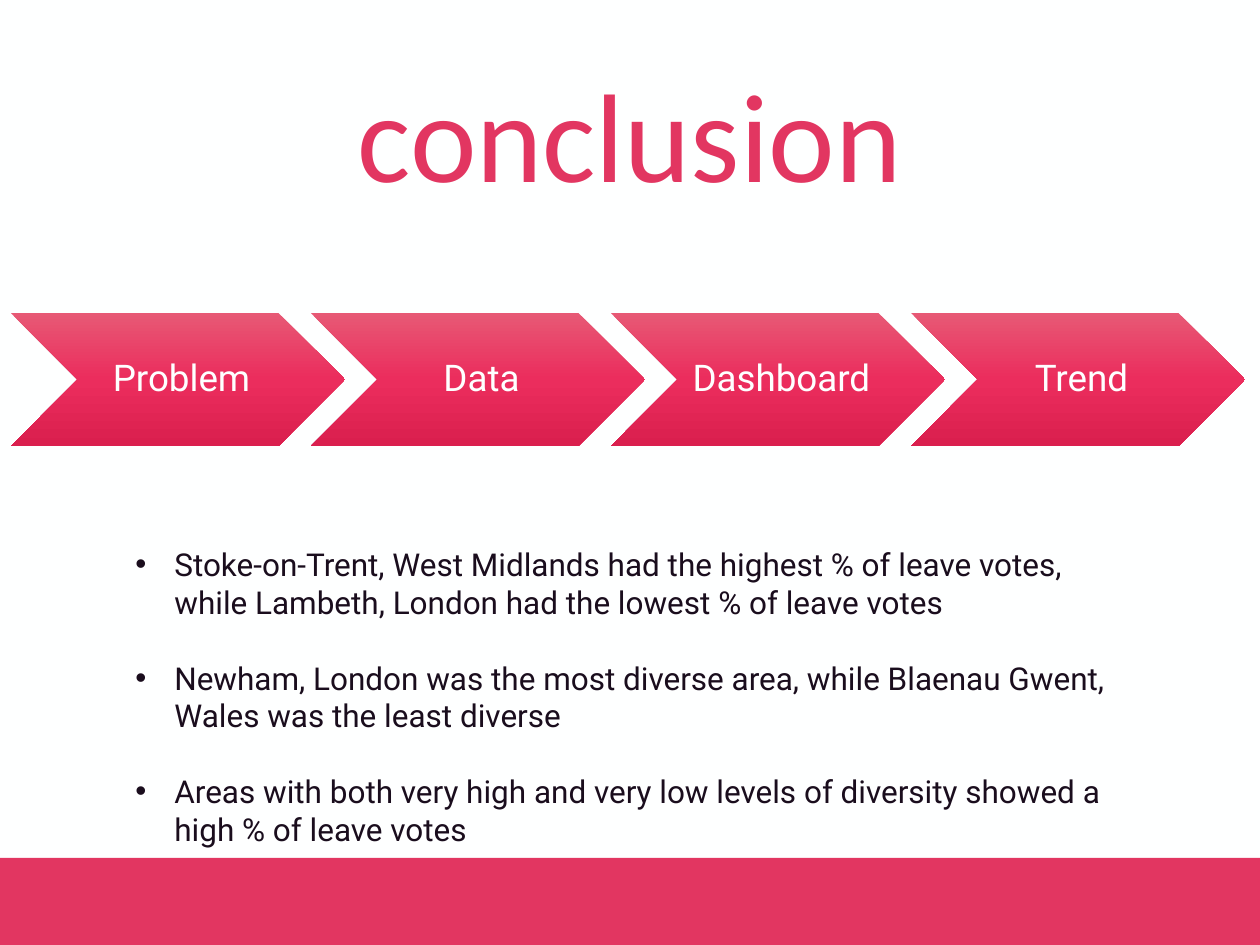
from copy import deepcopy
from dataclasses import dataclass

from lxml.etree import SubElement
from pptx import Presentation
from pptx.dml.color import RGBColor
from pptx.enum.shapes import MSO_SHAPE
from pptx.enum.text import MSO_ANCHOR, MSO_AUTO_SIZE, PP_ALIGN
from pptx.oxml.ns import qn
from pptx.util import Emu, Pt

EMU_PER_PX = 914400 / 126
WHITE, PINK, INK = "FEFFFF", "E23661", "1A0D1D"
CHEVRON_STOPS = ((0, "E75975"), (0.5, "EB2D5D"), (1, "DA1F4E"))
CHEVRON_PITCH = 300
STEPS = ("Problem", "Data", "Dashboard", "Trend")
FINDINGS = (
    "Stoke-on-Trent, West Midlands had the highest % of leave votes, "
    "while Lambeth, London had the lowest % of leave votes",
    "Newham, London was the most diverse area, while Blaenau Gwent, "
    "Wales was the least diverse",
    "Areas with both very high and very low levels of diversity showed a "
    "high % of leave votes",
)


@dataclass(frozen=True)
class Box:
    """A rectangle in px."""

    left: int
    top: int
    width: int
    height: int

    def emu(self) -> tuple:
        """Return the rectangle in EMU."""
        return tuple(map(px, (self.left, self.top, self.width, self.height)))


@dataclass(frozen=True)
class Style:
    """The font of a paragraph."""

    name: str
    size: int
    color: str


TITLE_STYLE = Style("Calibri", 72, PINK)
STEP_STYLE = Style("Roboto", 21, WHITE)
FINDING_STYLE = Style("Roboto", 18, INK)


def px(length: int) -> Emu:
    """Turn px into EMU."""
    return Emu(round(length * EMU_PER_PX))


def rgb(color: str) -> RGBColor:
    """Turn a hex string into a colour."""
    return RGBColor.from_string(color)


def style_paragraph(paragraph, style: Style) -> None:
    """Set the font of a paragraph."""
    font = paragraph.font
    font.name, font.size = style.name, Pt(style.size)
    font.color.rgb = rgb(style.color)


def write_centered(shape, text: str, style: Style) -> None:
    """Write one line in the middle of a shape."""
    frame = shape.text_frame
    frame.word_wrap = True
    frame.vertical_anchor = MSO_ANCHOR.MIDDLE
    paragraph = frame.paragraphs[0]
    paragraph.text = text
    paragraph.alignment = PP_ALIGN.CENTER
    paragraph.line_spacing = 0.9
    style_paragraph(paragraph, style)


def add_plain_shape(slide, kind: MSO_SHAPE, box: Box):
    """Add a preset shape without line or shadow."""
    shape = slide.shapes.add_shape(kind, *box.emu())
    shape.shadow.inherit = False
    shape.line.fill.background()
    return shape


def fill_gradient(shape, stops: tuple) -> None:
    """Fill a shape with a gradient from top to bottom."""
    fill = shape.fill
    fill.gradient()
    fill.gradient_angle = 270
    stop_list = shape._element.spPr.find(qn("a:gradFill")).find(qn("a:gsLst"))
    while len(stop_list) < len(stops):
        stop_list.append(deepcopy(stop_list[-1]))
    for stop, (position, color) in zip(fill.gradient_stops, stops):
        stop.position = position
        stop.color.rgb = rgb(color)


def add_step(slide, box: Box, label: str) -> None:
    """Add one labelled chevron."""
    chevron = add_plain_shape(slide, MSO_SHAPE.CHEVRON, box)
    fill_gradient(chevron, CHEVRON_STOPS)
    write_centered(chevron, label, STEP_STYLE)
    frame = chevron.text_frame
    frame.margin_left = px(11)
    frame.margin_top = frame.margin_right = frame.margin_bottom = px(4)


def add_bullet(paragraph, indent: int) -> None:
    """Give a paragraph a hanging bullet."""
    properties = paragraph._p.get_or_add_pPr()
    properties.set("marL", str(px(indent)))
    properties.set("indent", str(-px(indent)))
    SubElement(properties, qn("a:buFont"), typeface="Arial")
    SubElement(properties, qn("a:buChar"), char="•")


def add_findings(slide, box: Box, findings: tuple) -> None:
    """Add the bulleted list."""
    frame = slide.shapes.add_textbox(*box.emu()).text_frame
    frame.word_wrap = True
    frame.auto_size = MSO_AUTO_SIZE.SHAPE_TO_FIT_TEXT
    for index, finding in enumerate(findings):
        paragraph = frame.add_paragraph() if index else frame.paragraphs[0]
        paragraph.text = finding
        add_bullet(paragraph, 39)
        if index:
            paragraph.space_before = Pt(21.6)
        style_paragraph(paragraph, FINDING_STYLE)


def main() -> None:
    """Build and save the slide."""
    presentation = Presentation()
    presentation.slide_width, presentation.slide_height = px(1260), px(945)
    slide = presentation.slides.add_slide(presentation.slide_layouts[6])
    background = slide.background.fill
    background.solid()
    background.fore_color.rgb = rgb(WHITE)

    band = add_plain_shape(slide, MSO_SHAPE.RECTANGLE, Box(0, 858, 1260, 87))
    band.fill.solid()
    band.fill.fore_color.rgb = rgb(PINK)

    title = slide.shapes.add_textbox(*Box(87, 50, 1086, 183).emu())
    write_centered(title, "conclusion", TITLE_STYLE)
    for index, label in enumerate(STEPS):
        add_step(slide, Box(11 + index * CHEVRON_PITCH, 313, 334, 133), label)
    add_findings(slide, Box(123, 539, 1031, 318), FINDINGS)
    presentation.save("out.pptx")


if __name__ == "__main__":
    main()
